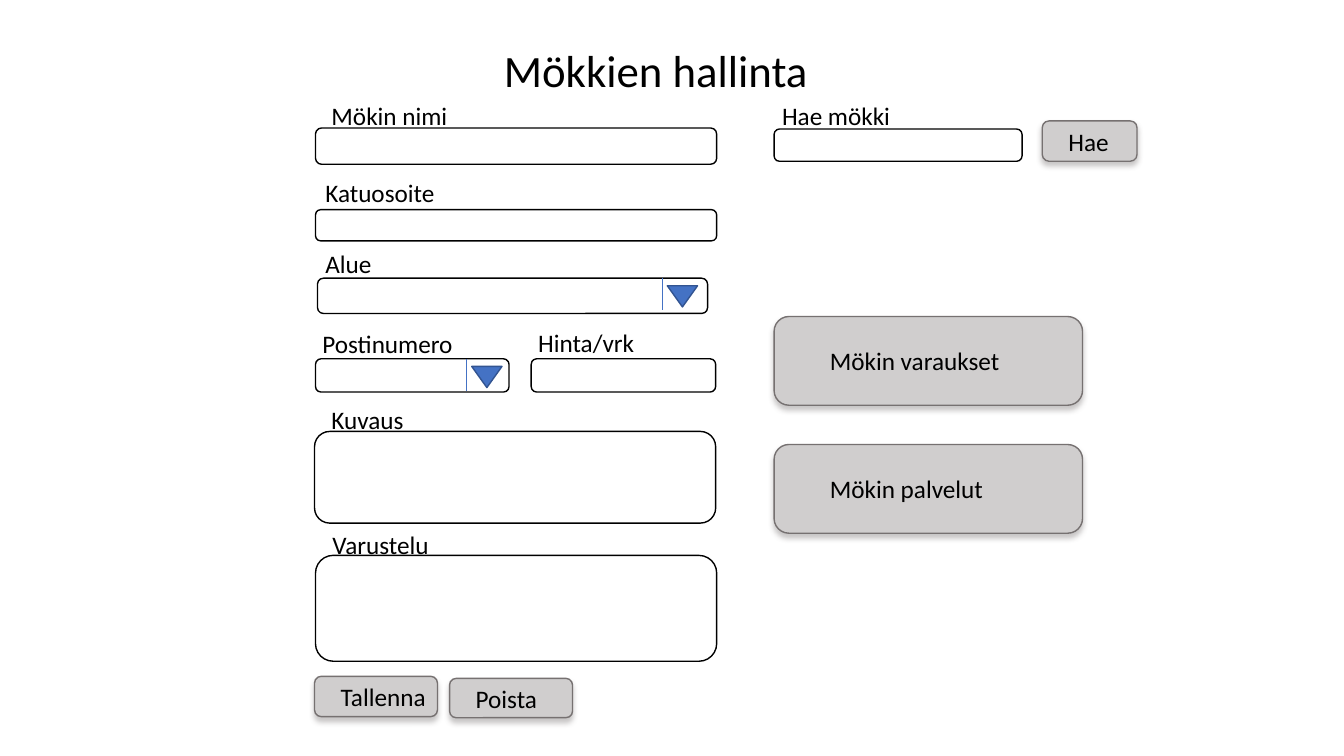
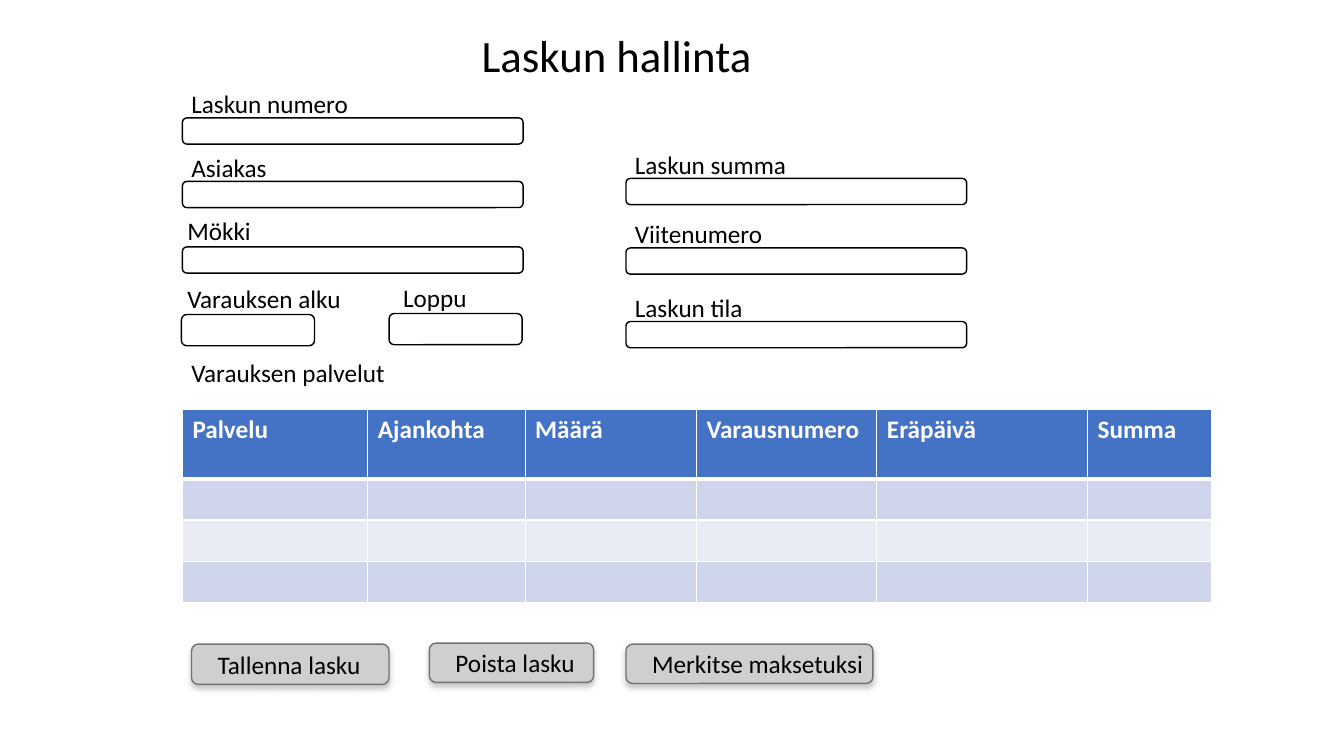
"""Build two form mock-ups: cottage management and invoice management."""
from dataclasses import dataclass

from lxml.etree import SubElement as Sub
from pptx import Presentation
from pptx.dml.color import RGBColor
from pptx.enum.shapes import MSO_CONNECTOR as Link, MSO_SHAPE as Form
from pptx.enum.text import MSO_ANCHOR as Anchor, PP_ALIGN as Align
from pptx.oxml.ns import qn
from pptx.shapes.autoshape import Shape
from pptx.slide import Slide
from pptx.table import _Cell as Cell
from pptx.text.text import _Paragraph as Para
from pptx.util import Inches, Length, Pt

BLACK = RGBColor(0x00, 0x00, 0x00)
WHITE = RGBColor(0xFF, 0xFF, 0xFF)
GREY = RGBColor(0xD0, 0xCE, 0xCE)
EDGE = RGBColor(0x76, 0x71, 0x71)
BLUE = RGBColor(0x44, 0x72, 0xC4)
NAVY = RGBColor(0x32, 0x54, 0x91)
BANDS = (RGBColor(0xCF, 0xD5, 0xEA), RGBColor(0xE9, 0xEB, 0xF5))
FONT = "Calibri"
UNITS = 10
COLS, ROWS = 133.33, 75


@dataclass(frozen=True)
class Box:
    """A place in grid columns and rows."""

    col: float
    row: float
    wide: float
    high: float

    def size(self) -> tuple[Length, ...]:
        """Return the place as lengths."""
        return tuple(map(grid, (self.col, self.row, self.wide, self.high)))


@dataclass(frozen=True)
class Field:
    """A labelled input, with an arrow if drop gives its divider's column."""

    label: str
    box: Box
    shift: float = -0.1
    lift: float = 3.4
    drop: float = 0


@dataclass(frozen=True)
class Button:
    """A grey button with indented text."""

    label: str
    box: Box
    inset: float = 2.4


@dataclass(frozen=True)
class Page:
    """A form with its title, inputs and buttons."""

    title: str
    place: Box
    fields: tuple[Field, ...]
    buttons: tuple[Button, ...]


HOME = Page(
    "Mökkien hallinta",
    Box(49, 3.7, 33.6, 6.4),
    (
        Field("Mökin nimi", Box(31.3, 12.7, 39.8, 3.6), 0.6, 3.2),
        Field("Katuosoite", Box(31.3, 20.8, 39.8, 3.1), 0, 3.7),
        Field("Alue", Box(31.5, 27.6, 38.7, 3.5), -0.2, 3.5, 34.2),
        Field("Postinumero", Box(31.3, 35.6, 19.2, 3.3), -0.3, 3.5, 15),
        Field("Hinta/vrk", Box(52.7, 35.6, 18.3, 3.3), -0.3, 3.6),
        Field("Kuvaus", Box(31.2, 42.8, 39.8, 9.1), 0.7, 3.2),
        Field("Varustelu", Box(31.3, 55.1, 39.8, 10.5), 0.7, 3.1),
        Field("Hae mökki", Box(76.8, 12.8, 24.6, 3.2), -0.2, 3.3),
    ),
    (
        Button("Hae", Box(103.4, 12, 9.4, 4)),
        Button("Mökin varaukset", Box(76.8, 31.4, 30.6, 8.8), 5.1),
        Button("Mökin palvelut", Box(76.8, 44.1, 30.6, 8.8), 5.1),
        Button("Tallenna", Box(31.2, 67.1, 12.2, 4)),
        Button("Poista", Box(44.6, 67.3, 12.2, 3.9)),
    ),
)
BILL = Page(
    "Laskun hallinta",
    Box(46.8, 2.3, 37.7, 6.4),
    (
        Field("Laskun numero", Box(18.1, 11.7, 33.8, 2.6)),
        Field("Asiakas", Box(18.1, 18, 33.8, 2.6)),
        Field("Mökki", Box(18.1, 24.5, 33.8, 2.6), -0.5, 3.6),
        Field("Varauksen alku", Box(18, 31.2, 13.2, 3.1), -0.4, 3.6),
        Field("Loppu", Box(38.6, 31.1, 13.2, 3.1), 0.4, 3.6),
        Field("Laskun summa", Box(62.1, 17.7, 33.8, 2.6)),
        Field("Viitenumero", Box(62.1, 24.6, 33.8, 2.6)),
        Field("Laskun tila", Box(62.1, 31.9, 33.8, 2.6)),
    ),
    (
        Button("Tallenna lasku", Box(19, 63.9, 19.6, 4)),
        Button("Poista lasku", Box(42.6, 63.8, 16.3, 3.9)),
        Button("Merkitse maksetuksi", Box(62.1, 63.9, 24.5, 3.9)),
    ),
)
HEADS = {"Palvelu": 18.4, "Ajankohta": 15.6, "Määrä": 17,
         "Varausnumero": 17.9, "Eräpäivä": 20.9, "Summa": 12.3}
LINES = (6.9, 4.1, 4.1, 4.1)


def grid(count: float) -> Length:
    """Turn grid units into a length."""
    return Inches(count / UNITS)


def style(para: Para, size: int = 18, ink: RGBColor = BLACK,
          bold: bool = False) -> None:
    """Set the font of a paragraph."""
    font = para.font
    font.name, font.size, font.bold = FONT, Pt(size), bold
    font.color.rgb = ink


def label(slide: Slide, text: str, box: Box, size: int = 18) -> None:
    """Draw plain text."""
    frame = slide.shapes.add_textbox(*box.size()).text_frame
    frame.word_wrap = True
    frame.text = text
    style(frame.paragraphs[0], size)


def panel(slide: Slide, box: Box, fill: RGBColor | None = None,
          edge: RGBColor = BLACK, form: Form = Form.ROUNDED_RECTANGLE) -> Shape:
    """Draw an outlined shape without a shadow."""
    shape = slide.shapes.add_shape(form, *box.size())
    shape.shadow.inherit = False
    if fill is None:
        shape.fill.background()
    else:
        shape.fill.solid()
        shape.fill.fore_color.rgb = fill
    shape.line.color.rgb = edge
    shape.line.width = Pt(1)
    return shape


def arrow(slide: Slide, box: Box, drop: float) -> None:
    """Draw the divider and triangle of a drop-down list."""
    col = box.col + drop
    ends = map(grid, (col, box.row, col, box.row + 3.2))
    line = slide.shapes.add_connector(Link.STRAIGHT, *ends)
    line.line.color.rgb = BLUE
    line.line.width = Pt(0.5)
    Sub(line.element.spPr, qn("a:effectLst"))
    mark = Box(col + 0.5, box.row + 0.75, 3, 2.1)
    panel(slide, mark, BLUE, NAVY, Form.ISOSCELES_TRIANGLE).rotation = 180


def field(slide: Slide, item: Field) -> None:
    """Draw an input and the label above it."""
    box = item.box
    panel(slide, box)
    label(slide, item.label,
          Box(box.col + item.shift, box.row - item.lift, 24.6, 4))
    if item.drop:
        arrow(slide, box, item.drop)


def button(slide: Slide, item: Button) -> None:
    """Draw a button with its text and soft shadow."""
    shape = panel(slide, item.box, GREY, EDGE)
    glow = Sub(shape.element.spPr.find(qn("a:effectLst")), qn("a:outerShdw"),
               blurRad=str(Pt(4)), dist=str(Pt(3)), dir="5400000",
               algn="t", rotWithShape="0")
    tint = Sub(glow, qn("a:srgbClr"), val=str(EDGE))
    Sub(tint, qn("a:alpha"), val="40000")
    frame = shape.text_frame
    frame.text = item.label
    frame.word_wrap = True
    frame.vertical_anchor = Anchor.MIDDLE
    frame.margin_left = grid(item.inset)
    frame.margin_right = frame.margin_top = frame.margin_bottom = 0
    frame.paragraphs[0].alignment = Align.LEFT
    style(frame.paragraphs[0])


def border(cell: Cell, row: int) -> None:
    """Give a cell white borders, thick below the heading."""
    thick = {("lnB", 0), ("lnT", 1)}
    for side in ("lnL", "lnR", "lnT", "lnB"):
        width = Pt(3 if (side, row) in thick else 1)
        line = Sub(cell._tc.get_or_add_tcPr(), qn(f"a:{side}"), w=str(width))
        Sub(Sub(line, qn("a:solidFill")), qn("a:srgbClr"), val=str(WHITE))


def table(slide: Slide, col: float, row: float) -> None:
    """Draw the table of services."""
    box = Box(col, row, sum(HEADS.values()), sum(LINES))
    chart = slide.shapes.add_table(len(LINES), len(HEADS), *box.size()).table
    for i, high in enumerate(LINES):
        chart.rows[i].height = grid(high)
    for j, (head, wide) in enumerate(HEADS.items()):
        chart.columns[j].width = grid(wide)
        chart.cell(0, j).text = head
        for i in range(len(LINES)):
            cell = chart.cell(i, j)
            border(cell, i)
            cell.fill.solid()
            cell.fill.fore_color.rgb = BANDS[(i - 1) % 2] if i else BLUE
            style(cell.text_frame.paragraphs[0], ink=WHITE if i == 0 else BLACK,
                  bold=i == 0)


def draw(deck: Presentation, page: Page) -> Slide:
    """Add a slide with the title, inputs and buttons of a page."""
    slide = deck.slides.add_slide(deck.slide_layouts[6])
    label(slide, page.title, page.place, 32)
    for item in page.fields:
        field(slide, item)
    for item in page.buttons:
        button(slide, item)
    return slide


def main() -> None:
    """Build and save the deck."""
    deck = Presentation()
    deck.slide_width, deck.slide_height = grid(COLS), grid(ROWS)
    draw(deck, HOME)
    bill = draw(deck, BILL)
    label(bill, "Varauksen palvelut", Box(18, 35, 64.4, 4))
    table(bill, 18.1, 40.6)
    deck.save("out.pptx")


if __name__ == "__main__":
    main()
